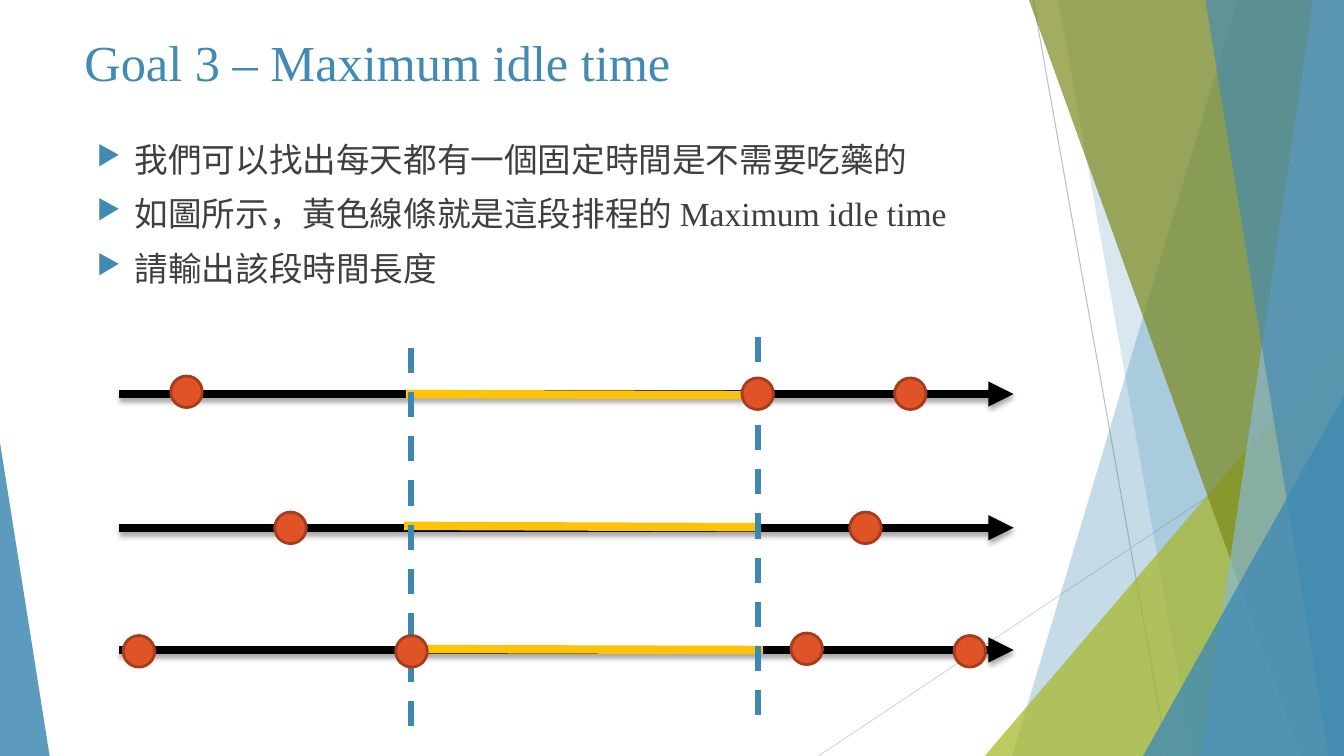
from typing import NamedTuple

from lxml.etree import SubElement
from pptx import Presentation
from pptx.dml.color import RGBColor
from pptx.enum.dml import MSO_LINE
from pptx.enum.shapes import MSO_CONNECTOR, MSO_SHAPE
from pptx.enum.text import MSO_ANCHOR
from pptx.oxml.ns import qn
from pptx.util import Pt

W, H = 960, 540
BLUE, ORANGE, RUST, YELLOW = "418AB3", "DF5327", "A53D1D", "FEC306"
FONT = "Times New Roman"


class Facet(NamedTuple):
    """Band from a slanted left edge to the right side of the slide."""
    top_x: float
    bottom_x: float
    color: str
    alpha: int


class Wedge(NamedTuple):
    """Right-angled triangle; apex 0 is left, 1 is right."""
    x: float
    y: float
    w: float
    h: float
    apex: int
    color: str
    alpha: int


class Line(NamedTuple):
    x1: float
    y1: float
    x2: float
    y2: float
    color: str
    width: float
    dash: bool = False
    arrow: bool = False


class Dose(NamedTuple):
    x: float
    y: float


def rgb(value: str) -> RGBColor:
    return RGBColor.from_string(value)


def add(parent, tag: str, **attrs):
    return SubElement(parent, qn(tag), {k: str(v) for k, v in attrs.items()})


def paint(sp, color: str, alpha: int = 100) -> None:
    sp.shadow.inherit = False
    sp.fill.solid()
    sp.fill.fore_color.rgb = rgb(color)
    sp.line.fill.background()
    if alpha < 100:
        clr = sp._element.spPr.find(qn("a:solidFill"))[0]
        add(clr, "a:alpha", val=alpha * 1000)


def draw_facet(facet: Facet) -> None:
    builder = shapes.build_freeform(Pt(facet.top_x), 0)
    builder.add_line_segments(
        [(Pt(W), 0), (Pt(W), Pt(H)), (Pt(facet.bottom_x), Pt(H))], close=True)
    paint(builder.convert_to_shape(), facet.color, facet.alpha)


def draw_wedge(wedge: Wedge) -> None:
    sp = shapes.add_shape(MSO_SHAPE.ISOSCELES_TRIANGLE, *map(Pt, wedge[:4]))
    sp.adjustments[0] = wedge.apex
    paint(sp, wedge.color, wedge.alpha)


def draw_line(line: Line) -> None:
    cx = shapes.add_connector(MSO_CONNECTOR.STRAIGHT, *map(Pt, line[:4]))
    cx.line.color.rgb = rgb(line.color)
    cx.line.width = Pt(line.width)
    if line.dash:
        cx.line.dash_style = MSO_LINE.DASH
    spPr = cx._element.spPr
    if line.arrow:
        add(spPr.find(qn("a:ln")), "a:tailEnd", type="triangle")
    effects = add(spPr, "a:effectLst")
    if line.arrow:
        shadow = add(effects, "a:outerShdw", blurRad=Pt(3.1), dist=Pt(1.8),
                     dir=90 * 60000, rotWithShape=0)
        add(add(shadow, "a:srgbClr", val="000000"), "a:alpha", val=35000)


def draw_dose(dose: Dose) -> None:
    sp = shapes.add_shape(MSO_SHAPE.OVAL, Pt(dose.x), Pt(dose.y), Pt(22.5), Pt(22.5))
    paint(sp, ORANGE)
    sp.line.color.rgb = rgb(RUST)
    sp.line.width = Pt(2)


def draw_text(y: float, h: float, lines: list[str], size: float, color: str,
              anchor: MSO_ANCHOR, bullets: bool = False) -> None:
    tf = shapes.add_textbox(Pt(53.2), Pt(y), Pt(797), Pt(h)).text_frame
    tf.word_wrap = True
    tf.vertical_anchor = anchor
    for i, text in enumerate(lines):
        p = tf.paragraphs[0] if i == 0 else tf.add_paragraph()
        r = p.add_run()
        r.text = text
        for name, value in {"size": Pt(size), "name": FONT}.items():
            setattr(r.font, name, value)
        r.font.color.rgb = rgb(color)
        if bullets:
            p.space_before = Pt(10)
            pPr = p._p.get_or_add_pPr()
            pPr.set("marL", str(Pt(36)))
            pPr.set("indent", str(Pt(-27)))
            add(add(pPr, "a:buClr"), "a:srgbClr", val=BLUE)
            add(pPr, "a:buSzPct", val=80000)
            add(pPr, "a:buChar", char="▶")


prs = Presentation()
prs.slide_width, prs.slide_height = Pt(W), Pt(H)
shapes = prs.slides.add_slide(prs.slide_layouts[6]).shapes

# Background facets
BACKDROP = [
    Line(738, 0, 834, H, "BFBFBF", 0.75),
    Line(W, 290, 584.6, H, "D8D8D8", 0.75),
    Facet(884, 723, BLUE, 30),
    Facet(756, 852, BLUE, 20),
    Wedge(703.4, 239.8, 256.6, 300.2, 1, "A6B727", 72),
    Facet(735, 929.5, "7C891D", 70),
    Facet(938, 858, "89B8D4", 70),
    Facet(861, 949, BLUE, 65),
    Wedge(816.5, 283, 143.5, 257, 1, BLUE, 80),
    Wedge(0, 316, 35.5, 224, 0, BLUE, 85),
]
DRAW = {Line: draw_line, Facet: draw_facet, Wedge: draw_wedge, Dose: draw_dose}

# Schedule: one arrow per day, doses, shared idle window
DAYS = [281.5, 377, 464.3]
SCHEDULE = [
    *(Line(85, y, 724, y, "000000", 6, arrow=True) for y in DAYS),
    Dose(196.3, 365.8), Dose(565, 452.2), Dose(88, 454), Dose(122, 268.6),
    Dose(639, 270), Dose(607, 365.8), Dose(681.5, 454),
    Line(290, 281.5, 545, 282.2, YELLOW, 6),
    Line(288.7, 375.6, 543.6, 376.6, YELLOW, 6),
    Line(293.8, 248.5, 293.8, 527.8, "3D88B2", 4.5, dash=True),
    Line(290, 463.6, 545, 464.3, YELLOW, 6),
    Line(541.4, 240.5, 541.4, 519, "3D88B2", 4.5, dash=True),
    Dose(530, 270), Dose(282.7, 454),
]

for item in BACKDROP:
    DRAW[type(item)](item)

# Title and explanation
draw_text(18.7, 61.2, ["Goal 3 – Maximum idle time"], 36, BLUE, MSO_ANCHOR.TOP)
draw_text(95.8, 390, [
    "我們可以找出每天都有一個固定時間是不需要吃藥的",
    "如圖所示，黃色線條就是這段排程的 Maximum idle time",
    "請輸出該段時間長度",
], 24, "3F3F3F", MSO_ANCHOR.TOP, bullets=True)

for item in SCHEDULE:
    DRAW[type(item)](item)

prs.save("out.pptx")
